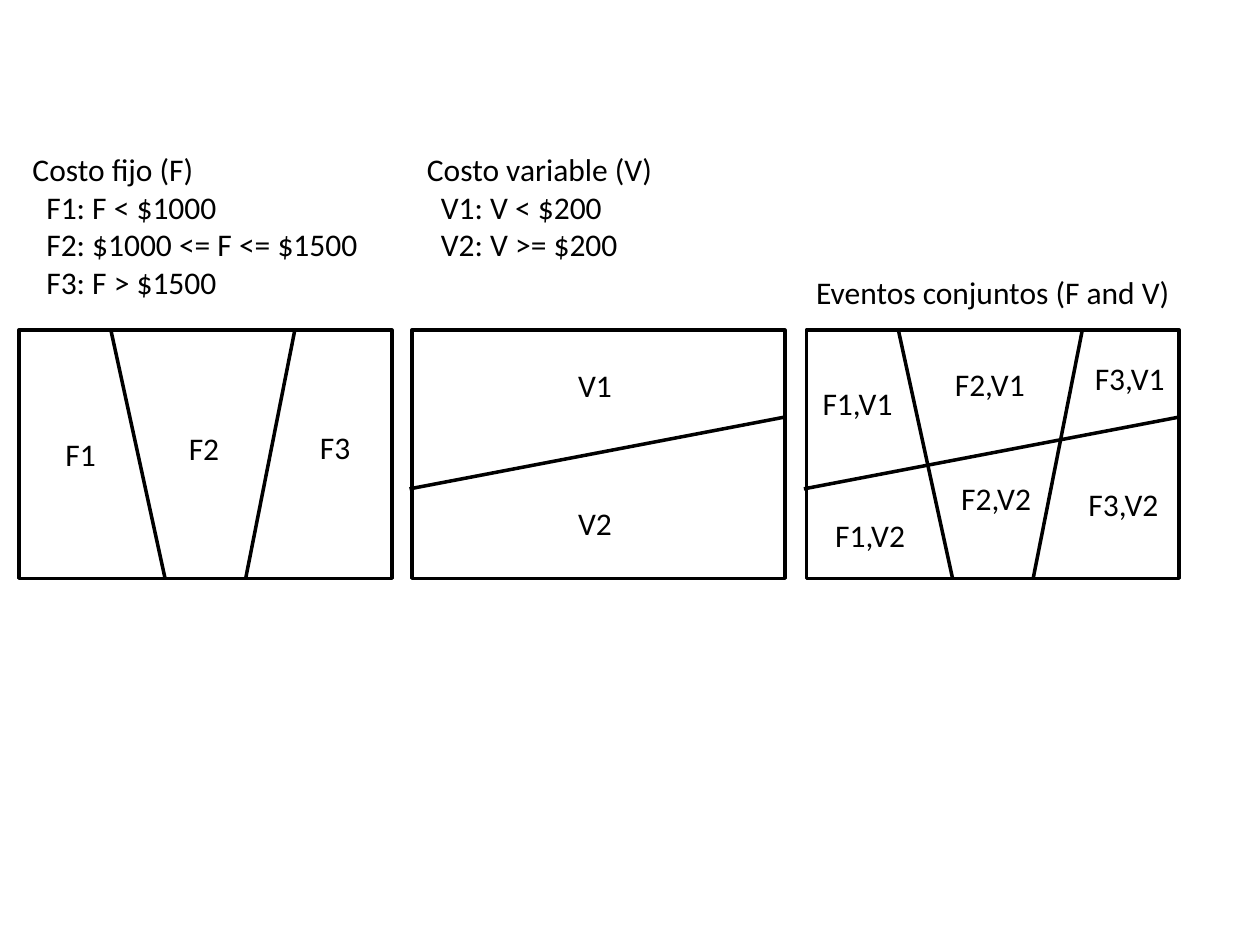
from dataclasses import dataclass

from lxml import etree
from pptx import Presentation
from pptx.dml.color import RGBColor
from pptx.enum.shapes import MSO_CONNECTOR, MSO_SHAPE
from pptx.enum.text import MSO_AUTO_SIZE, PP_ALIGN
from pptx.oxml.ns import qn
from pptx.util import Pt

RECT = MSO_SHAPE.RECTANGLE
STRAIGHT = MSO_CONNECTOR.STRAIGHT
GROW = MSO_AUTO_SIZE.SHAPE_TO_FIT_TEXT
LEFT, CENTER = PP_ALIGN.LEFT, PP_ALIGN.CENTER
PX = 9144


@dataclass(frozen=True)
class Theme:
    """Colours, font and sizes of the slide."""
    ink: RGBColor = RGBColor(0, 0, 0)
    font: str = "Calibri"
    size: int = 18
    line: int = 2
    indent: int = 11


THEME = Theme()
PANEL_TOP, PANEL_W, PANEL_H = 262, 296, 197
LABEL_H = 40
FIXED_SPLITS = [((73, 0), (116, PANEL_H)), ((219, 0), (180, PANEL_H))]
VARIABLE_SPLITS = [((-2, 126), (PANEL_W, 69))]

HEADINGS = [
    ((16, 114, 320, 131), "Costo fijo (F)",
     ["F1: F < $1000", "F2: $1000 <= F <= $1500", "F3: F > $1500"], LEFT),
    ((329, 114, 335, 101), "Costo variable (V)",
     ["V1: V < $200", "V2: V >= $200"], LEFT),
    ((623, 212, 330, LABEL_H), "Eventos conjuntos (F and V)", [], CENTER),
]
PANELS = [
    (15, FIXED_SPLITS, 45,
     [("F1", 27, 78), ("F2", 125, 74), ("F3", 229, 73)]),
    (327, VARIABLE_SPLITS, 47, [("V1", 122, 24), ("V2", 122, 133)]),
    (640, FIXED_SPLITS + VARIABLE_SPLITS, 78,
     [("F1,V1", 3, 38), ("F2,V1", 108, 23), ("F3,V1", 219, 18),
      ("F1,V2", 13, 143), ("F2,V2", 113, 113), ("F3,V2", 214, 118)]),
]


def emu(*lengths):
    """Turn px lengths into EMU."""
    return [n * PX for n in lengths]


def style_line(line):
    """Give an outline the theme's colour and width."""
    line.color.rgb = THEME.ink
    line.width = Pt(THEME.line)


def add_text(s, box, lines, wrap=True, align=LEFT):
    """Add a text box whose lines after the first are indented."""
    tf = s.shapes.add_textbox(*emu(*box)).text_frame
    tf.word_wrap = wrap
    tf.auto_size = GROW
    for i, line in enumerate(lines):
        p = tf.add_paragraph() if i else tf.paragraphs[0]
        p.alignment = align
        if i:
            p._p.get_or_add_pPr().set("marL", str(THEME.indent * PX))
        r = p.add_run()
        r.text = line
        r.font.name = THEME.font
        r.font.size = Pt(THEME.size)
        r.font.color.rgb = THEME.ink


def add_heading(s, box, title, events, align):
    """Add a panel's heading with its list of events."""
    add_text(s, box, [title, *events], align=align)


def add_split(s, start, end):
    """Add a dividing line between two points."""
    cxn = s.shapes.add_connector(STRAIGHT, *emu(*start, *end))
    style_line(cxn.line)
    etree.SubElement(cxn._element.spPr, qn("a:effectLst"))


def add_panel(s, box, splits, label_w, labels):
    """Add a sample space with its dividing lines and event labels."""
    x, y, w, h = box
    sp = s.shapes.add_shape(RECT, *emu(x, y, w, h))
    sp.shadow.inherit = False
    sp.fill.background()
    style_line(sp.line)
    for (x1, y1), (x2, y2) in splits:
        add_split(s, (x + x1, y + y1), (x + x2, y + y2))
    for text, dx, dy in labels:
        add_text(s, (x + dx, y + dy, label_w, LABEL_H), [text], wrap=False)


def main():
    """Build and save the slide."""
    prs = Presentation()
    prs.slide_width, prs.slide_height = emu(1000, 750)
    s = prs.slides.add_slide(prs.slide_layouts[6])
    for heading in HEADINGS:
        add_heading(s, *heading)
    for x, splits, label_w, labels in PANELS:
        add_panel(s, (x, PANEL_TOP, PANEL_W, PANEL_H), splits, label_w, labels)
    prs.save("out.pptx")


if __name__ == "__main__":
    main()
